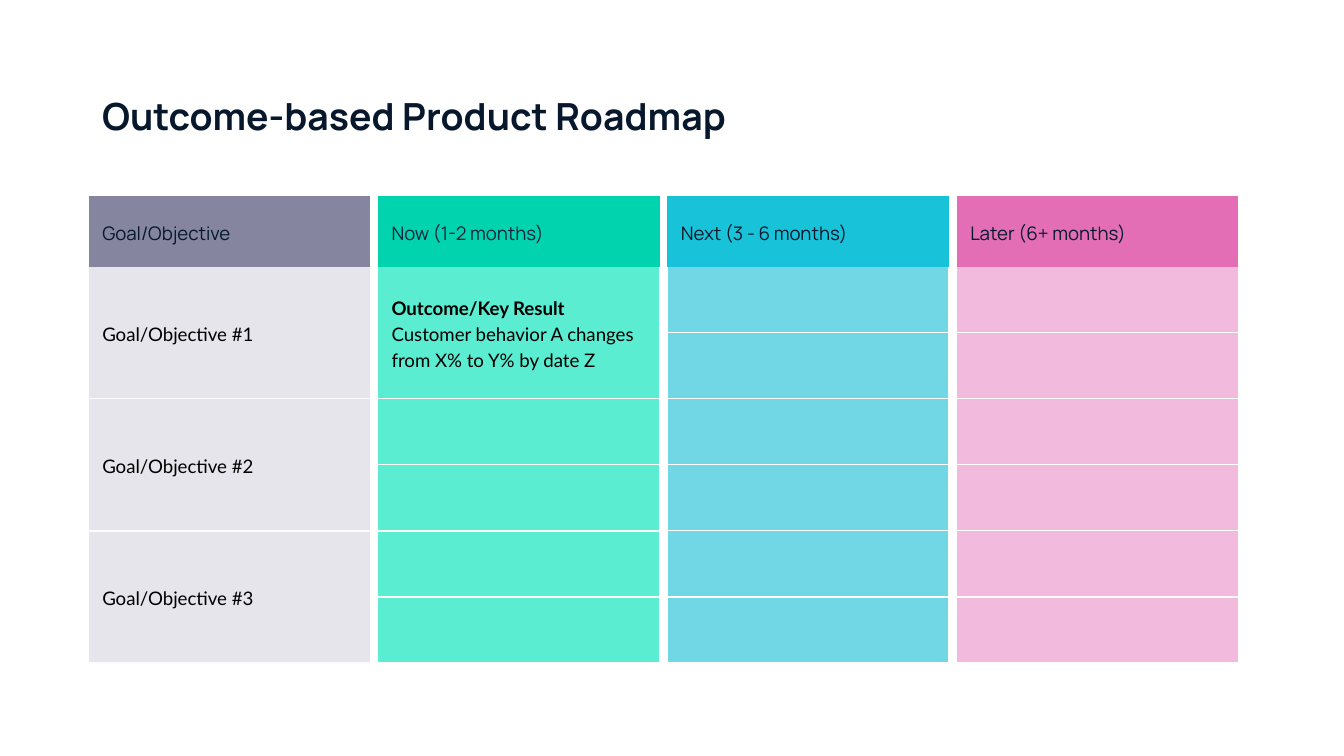
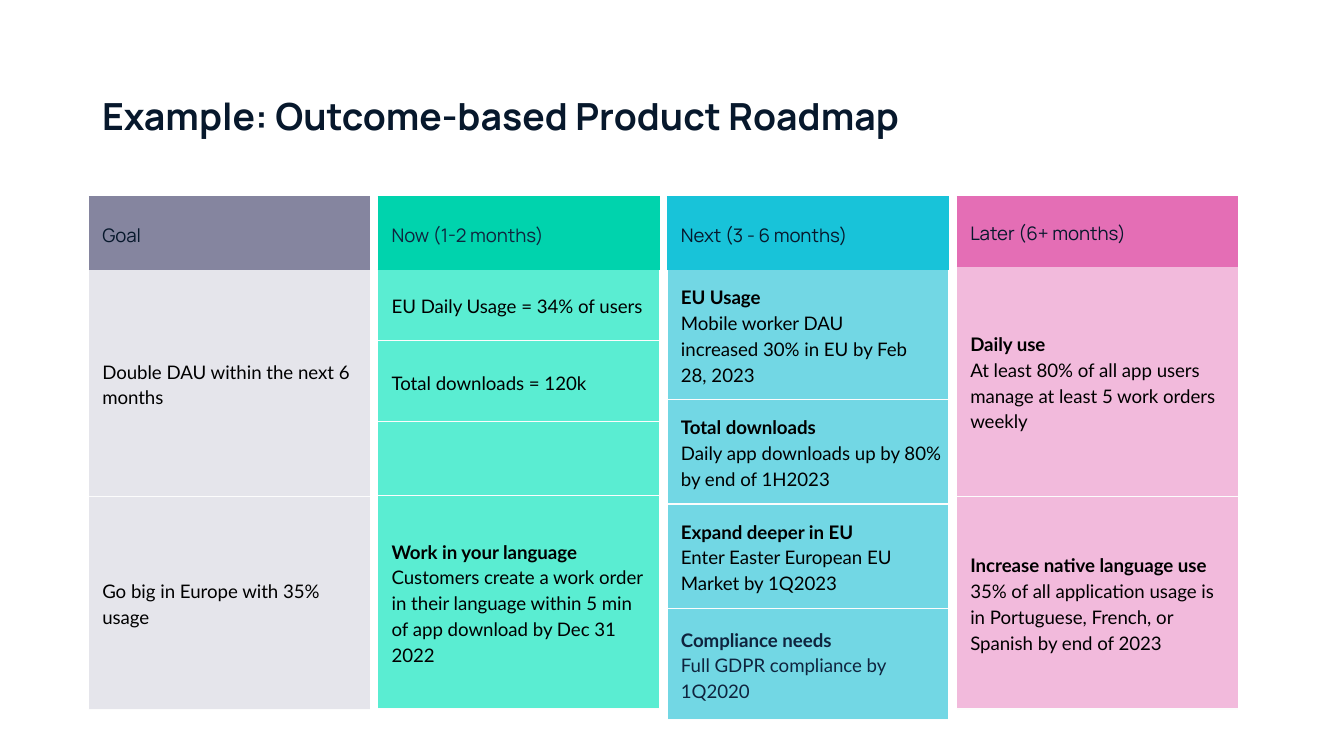
from lxml import etree
from pptx import Presentation
from pptx.dml.color import RGBColor
from pptx.enum import text
from pptx.oxml.ns import qn
from pptx.util import Pt

NAVY = RGBColor(0x07, 0x18, 0x2C)
INK = RGBColor(0x0F, 0x24, 0x3E)
BLACK = RGBColor(0, 0, 0)
RULE = RGBColor(0xFC, 0xFC, 0xFC)
GREY, PALE_GREY = RGBColor(0x85, 0x85, 0x9F), RGBColor(0xE5, 0xE5, 0xEB)
GREEN, PALE_GREEN = RGBColor(0x00, 0xD3, 0xAD), RGBColor(0x5A, 0xED, 0xD2)
CYAN, PALE_CYAN = RGBColor(0x18, 0xC3, 0xD9), RGBColor(0x72, 0xD7, 0xE4)
PINK, PALE_PINK = RGBColor(0xE4, 0x6E, 0xB5), RGBColor(0xF2, 0xBA, 0xDC)

LEFT, TOP, COL_W, PITCH = 47.6, 105.5, 150.5, 155
INSET = 7.2
HEAD_H, FULL, HALF = 37.4, 70.8, 35.4

# Per column: header fill, body fill, header text colour, header right inset
STYLES = [
    (GREY, PALE_GREY, NAVY, INSET),
    (GREEN, PALE_GREEN, INK, INSET),
    (CYAN, PALE_CYAN, NAVY, 2 * INSET),
    (PINK, PALE_PINK, NAVY, INSET),
]
NOW, NEXT, LATER = "Now (1-2 months)", "Next (3 - 6 months)", "Later (6+ months)"

# Per column: heading, header height, body rows.
# Per row: height, bold line, plain text, then optional right inset and colour
SLIDES = [
    ("Outcome-based Product Roadmap", [
        ("Goal/Objective", HEAD_H,
         [(FULL, "", f"Goal/Objective #{n}") for n in (1, 2, 3)]),
        (NOW, HEAD_H,
         [(FULL, "Outcome/Key Result",
           "Customer behavior A changes from X% to Y% by date Z")]
         + [(HALF, "", "")] * 4),
        (NEXT, HEAD_H, [(HALF, "", "")] * 6),
        (LATER, HEAD_H, [(HALF, "", "")] * 6),
    ]),
    ("Example: Outcome-based Product Roadmap", [
        ("Goal", 39, [
            (121.5, "", "Double DAU within the next 6 months"),
            (114, "", "Go big in Europe with 35% usage"),
        ]),
        (NOW, 39, [
            (38, "", "EU Daily Usage = 34% of users"),
            (43.5, "", "Total downloads = 120k"),
            (39.5, "", ""),
            (114, "Work in your language",
             "Customers create a work order in their language within 5 min "
             "of app download by Dec 31 2022"),
        ]),
        (NEXT, 39, [
            (67, "EU Usage",
             "Mobile worker DAU increased 30% in EU by Feb 28, 2023", 2 * INSET),
            (53.3, "Total downloads",
             "Daily app downloads up by 80% by end of 1H2023", 0),
            (53.3, "Expand deeper in EU",
             "Enter Easter European EU Market by 1Q2023"),
            (59.8, "Compliance needs",
             "Full GDPR compliance by 1Q2020", 2 * INSET, INK),
        ]),
        (LATER, HEAD_H, [
            (123, "Daily use",
             "At least 80% of all app users manage at least 5 work orders weekly"),
            (114, "Increase native language use",
             "35% of all application usage is in Portuguese, French, or "
             "Spanish by end of 2023"),
        ]),
    ]),
]


def add_run(p, words, font, size, color, bold=False):
    r = p.add_run()
    r.text = words
    r.font.name, r.font.size, r.font.bold = font, Pt(size), bold
    r.font.color.rgb = color


def style_cell(cell, fill, edges, right):
    """Set fill, insets and borders; edges maps a side (L, R, T, B) to a colour or None."""
    tc_pr = cell._tc.get_or_add_tcPr()
    for side, color in edges.items():
        ln = etree.SubElement(tc_pr, qn(f"a:ln{side}"), w=str(Pt(0.75)))
        if color is None:
            etree.SubElement(ln, qn("a:noFill"))
        else:
            solid = etree.SubElement(ln, qn("a:solidFill"))
            etree.SubElement(solid, qn("a:srgbClr"), val=str(color))
    cell.fill.solid()
    cell.fill.fore_color.rgb = fill
    cell.vertical_anchor = text.MSO_ANCHOR.MIDDLE
    cell.margin_left = cell.margin_top = cell.margin_bottom = Pt(INSET)
    cell.margin_right = Pt(right)


prs = Presentation()
prs.slide_width, prs.slide_height = Pt(720), Pt(405)

for title, columns in SLIDES:
    s = prs.slides.add_slide(prs.slide_layouts[6])
    tf = s.shapes.add_textbox(Pt(LEFT), Pt(42.5), Pt(624), Pt(34)).text_frame
    tf.word_wrap = True
    tf.margin_left = tf.margin_right = tf.margin_top = tf.margin_bottom = Pt(INSET)
    add_run(tf.paragraphs[0], title, "Manrope", 20, NAVY, True)

    for i, (heading, head_h, rows) in enumerate(columns):
        strong, pale, head_color, head_right = STYLES[i]
        heights = [head_h] + [row[0] for row in rows]
        table = s.shapes.add_table(len(heights), 1, Pt(LEFT + i * PITCH), Pt(TOP),
                                   Pt(COL_W), Pt(sum(heights))).table
        table.first_row = table.horz_banding = False
        for table_row, height in zip(table.rows, heights):
            table_row.height = Pt(height)

        head = table.cell(0, 0)
        side = strong if strong in (GREEN, CYAN) else None
        style_cell(head, strong, {"L": side, "R": side, "T": strong, "B": strong},
                   head_right)
        p = head.text_frame.paragraphs[0]
        p.line_spacing, p.space_after = 1.15, Pt(12)
        add_run(p, heading, "Manrope", 10, head_color)

        for n, (_, lead, body, *extra) in enumerate(rows, 1):
            right, color = (extra + [INSET, BLACK][len(extra):])
            cell = table.cell(n, 0)
            top = strong if n == 1 else RULE
            style_cell(cell, pale, {"L": None, "R": None, "T": top, "B": RULE}, right)
            if i == 0:
                cell.margin_top = cell.margin_bottom = 0
            tf = cell.text_frame
            p = tf.paragraphs[0]
            p.line_spacing = 1.15
            if lead:
                add_run(p, lead, "Lato", 10, color, True)
                p = tf.add_paragraph()
                p.line_spacing = 1.15
            if body:
                add_run(p, body, "Lato", 10, color)
            else:
                # Keeps an empty row from growing to the default text size
                etree.SubElement(p._p, qn("a:endParaRPr"), sz="1000")

prs.save("out.pptx")
